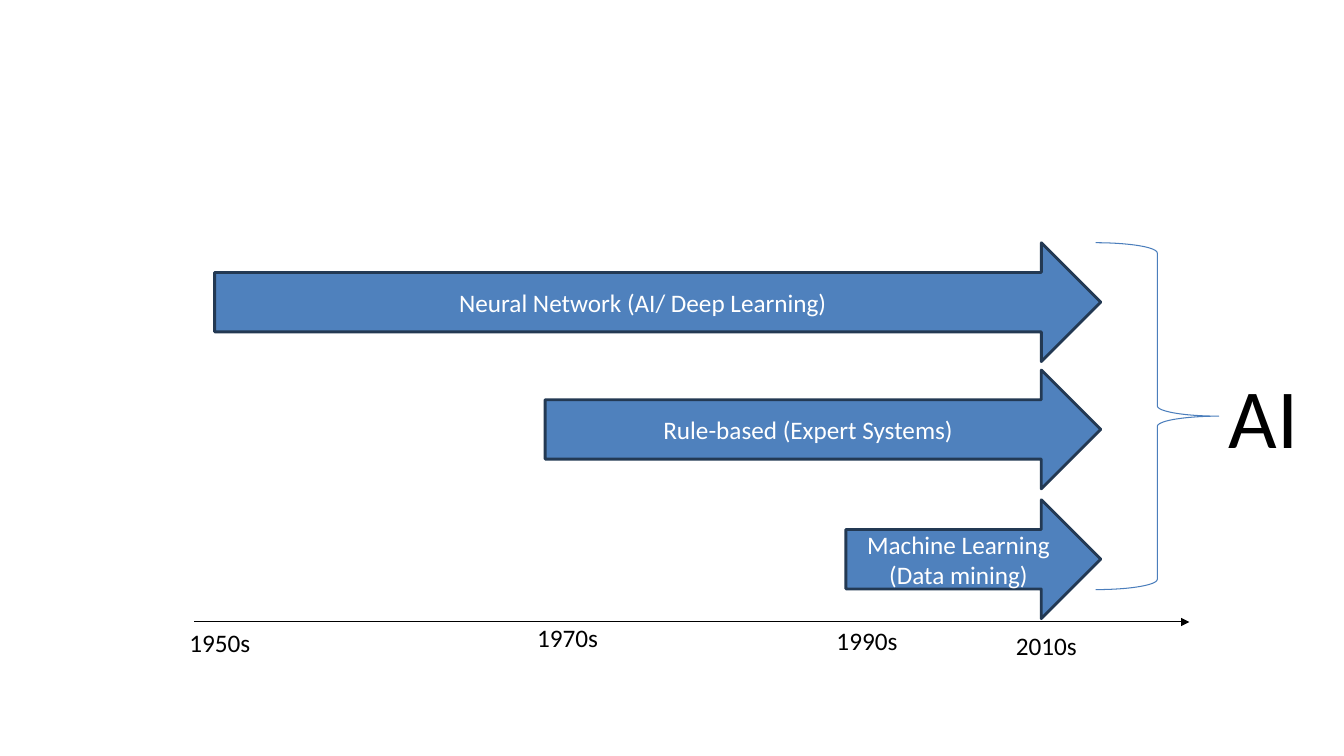
from dataclasses import dataclass

from lxml.etree import SubElement
from pptx import Presentation
from pptx.dml.color import RGBColor
from pptx.enum.shapes import MSO_CONNECTOR, MSO_SHAPE
from pptx.enum.text import MSO_ANCHOR, PP_ALIGN
from pptx.oxml.ns import qn
from pptx.shapes.autoshape import Shape
from pptx.slide import Slide
from pptx.text.text import TextFrame
from pptx.util import Inches, Pt

SLIDE_WIDTH, SLIDE_HEIGHT = Inches(13.33), Inches(7.5)
COLUMNS, ROWS = 32, 18


@dataclass(frozen=True)
class Theme:
    font: str = "Calibri"
    ink: RGBColor = RGBColor(0, 0, 0)
    on_arrow: RGBColor = RGBColor(255, 255, 255)
    arrow: RGBColor = RGBColor(0x4F, 0x81, 0xBD)
    arrow_edge: RGBColor = RGBColor(0x23, 0x39, 0x53)
    brace: RGBColor = RGBColor(0x4B, 0x7E, 0xBC)
    body_size: Pt = Pt(18)
    summary_size: Pt = Pt(60)
    edge_width: Pt = Pt(2)
    thin_width: Pt = Pt(0.75)


THEME = Theme()


@dataclass(frozen=True)
class Approach:
    name: str
    start: float
    top: float


@dataclass(frozen=True)
class Caption:
    text: str
    left: float
    top: float
    width: float = 2.26
    height: float = 0.96
    size: Pt = THEME.body_size


APPROACHES = [
    Approach("Neural Network (AI/ Deep Learning)", 5.11, 5.78),
    Approach("Rule-based (Expert Systems)", 12.98, 8.81),
    Approach("Machine Learning (Data mining)", 20.14, 11.9),
]
APPROACH_END, APPROACH_HEIGHT = 26.21, 2.83

CAPTIONS = [
    Caption("1950s", 4.27, 14.81),
    Caption("1970s", 12.55, 14.71),
    Caption("1990s", 19.68, 14.78),
    Caption("2010s", 23.95, 14.88),
    Caption("AI", 29.02, 8.57, 2.5, 2.66, THEME.summary_size),
]
AXIS_START, AXIS_END, AXIS_ROW = 4.63, 28.32, 14.81


def col(count: float) -> int:
    return round(SLIDE_WIDTH * count / COLUMNS)


def row(count: float) -> int:
    return round(SLIDE_HEIGHT * count / ROWS)


def write(frame: TextFrame, text: str, size: Pt, color: RGBColor) -> None:
    frame.word_wrap = True
    run = frame.paragraphs[0].add_run()
    run.text = text
    for attribute, value in {"name": THEME.font, "size": size}.items():
        setattr(run.font, attribute, value)
    run.font.color.rgb = color


def add_outlined(slide: Slide, kind: MSO_SHAPE, left: float, top: float,
                 width: float, height: float, edge: RGBColor, edge_width: Pt) -> Shape:
    shape = slide.shapes.add_shape(kind, col(left), row(top), col(width), row(height))
    shape.shadow.inherit = False
    shape.line.color.rgb = edge
    shape.line.width = edge_width
    return shape


def draw_approach(slide: Slide, approach: Approach) -> None:
    arrow = add_outlined(slide, MSO_SHAPE.RIGHT_ARROW, approach.start, approach.top,
                         APPROACH_END - approach.start, APPROACH_HEIGHT,
                         THEME.arrow_edge, THEME.edge_width)
    arrow.fill.solid()
    arrow.fill.fore_color.rgb = THEME.arrow
    write(arrow.text_frame, approach.name, THEME.body_size, THEME.on_arrow)
    arrow.text_frame.vertical_anchor = MSO_ANCHOR.MIDDLE
    arrow.text_frame.paragraphs[0].alignment = PP_ALIGN.CENTER


def draw_caption(slide: Slide, caption: Caption) -> None:
    box = slide.shapes.add_textbox(col(caption.left), row(caption.top),
                                   col(caption.width), row(caption.height))
    write(box.text_frame, caption.text, caption.size, THEME.ink)


def draw_axis(slide: Slide) -> None:
    axis = slide.shapes.add_connector(MSO_CONNECTOR.STRAIGHT, col(AXIS_START), row(AXIS_ROW),
                                      col(AXIS_END), row(AXIS_ROW))
    axis.line.color.rgb = THEME.ink
    axis.line.width = THEME.thin_width
    SubElement(axis.line._get_or_add_ln(), qn("a:tailEnd"), type="triangle")
    SubElement(axis._element.spPr, qn("a:effectLst"))


def main() -> None:
    deck = Presentation()
    deck.slide_width, deck.slide_height = SLIDE_WIDTH, SLIDE_HEIGHT
    slide = deck.slides.add_slide(deck.slide_layouts[6])

    # Approaches over time
    for approach in APPROACHES:
        draw_approach(slide, approach)

    # Time axis
    draw_axis(slide)

    # Brace gathering the approaches
    brace = add_outlined(slide, MSO_SHAPE.RIGHT_BRACE, 26.09, 5.78, 2.93, 8.26,
                         THEME.brace, THEME.thin_width)
    brace.fill.background()

    # Decades and summary
    for caption in CAPTIONS:
        draw_caption(slide, caption)

    deck.save("out.pptx")


if __name__ == "__main__":
    main()
